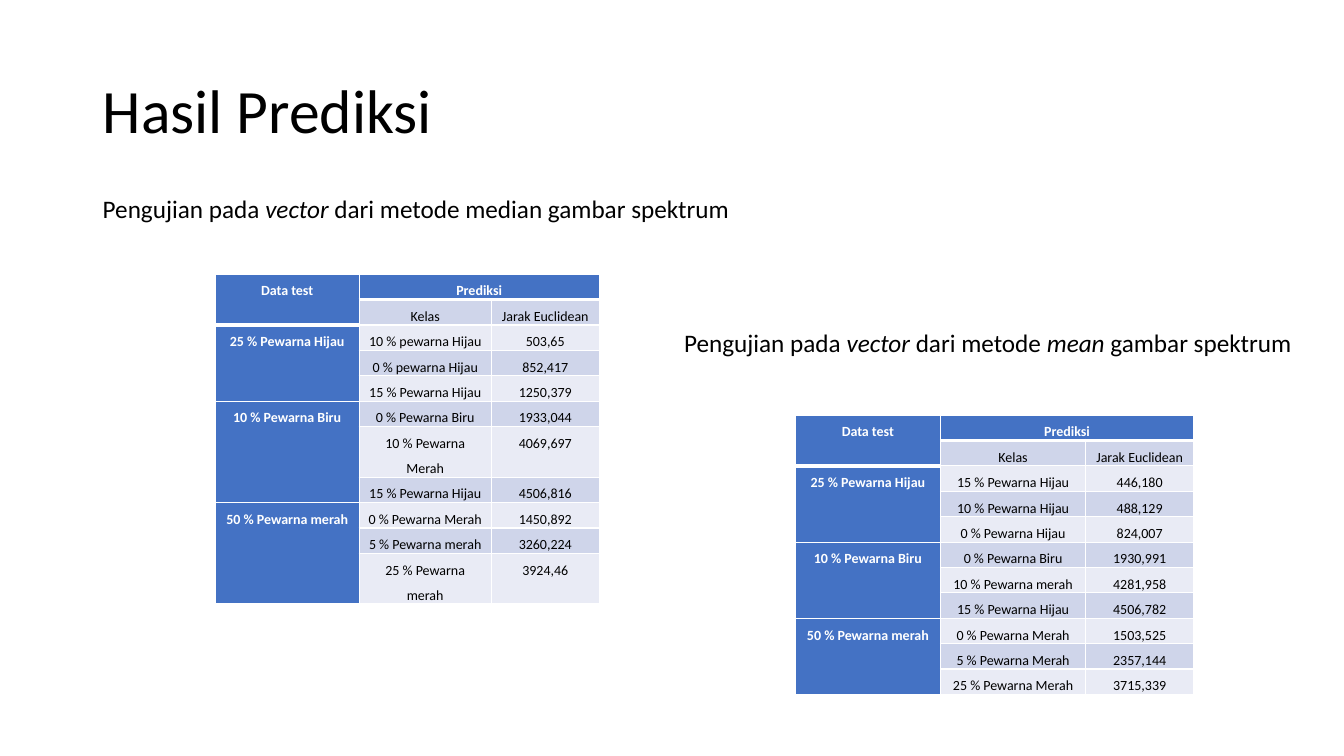
from dataclasses import dataclass

from lxml import etree
from pptx import Presentation
from pptx import util as u
from pptx.dml.color import RGBColor
from pptx.enum import text
from pptx.oxml.ns import qn
from pptx.slide import Slide
from pptx.table import _Cell
from pptx.text.text import TextFrame, _Paragraph


@dataclass(frozen=True)
class Theme:
    font: str = "Calibri"
    ink: str = "000000"
    white: str = "FFFFFF"
    accent: str = "4472C4"
    dark_band: str = "CFD5EA"
    light_band: str = "E9EBF5"
    title_size: int = 44
    caption_size: int = 18
    cell_size: int = 10
    thin: int = 1
    thick: int = 3


@dataclass(frozen=True)
class Piece:
    words: str
    italic: bool = False


@dataclass(frozen=True)
class Caption:
    left: float
    top: float
    width: float
    pieces: tuple[Piece, ...]


@dataclass(frozen=True)
class Group:
    data_test: str
    predictions: tuple[tuple[str, str], ...]


@dataclass(frozen=True)
class Results:
    left: float
    top: float
    columns: tuple[float, ...]
    groups: tuple[Group, ...]


THEME = Theme()
ROW_HEIGHT = 0.64
GROUP_ROWS = 3
HEADING_ROWS = 2
ABOVE_THICK_LINE = {(0, 0), (0, 1), (0, 2), (1, 0)}

CAPTIONS = (
    Caption(2.34, 4.75, 16.66, (
        Piece("Pengujian pada "),
        Piece("vector ", True),
        Piece("dari metode median gambar spektrum"),
    )),
    Caption(16.99, 8.13, 16.13, (
        Piece("Pengujian pada "),
        Piece("vector ", True),
        Piece("dari metode "),
        Piece("mean ", True),
        Piece("gambar spektrum"),
    )),
)

RESULTS = (
    Results(5.42, 6.91, (3.63, 3.33, 2.72), (
        Group("25 % Pewarna Hijau", (
            ("10 % pewarna Hijau", "503,65"),
            ("0 % pewarna Hijau", "852,417"),
            ("15 % Pewarna Hijau", "1250,379"),
        )),
        Group("10 % Pewarna Biru", (
            ("0 % Pewarna Biru", "1933,044"),
            ("10 % Pewarna Merah", "4069,697"),
            ("15 % Pewarna Hijau", "4506,816"),
        )),
        Group("50 % Pewarna merah", (
            ("0 % Pewarna Merah", "1450,892"),
            ("5 % Pewarna merah", "3260,224"),
            ("25 % Pewarna merah", "3924,46"),
        )),
    )),
    Results(20.04, 10.46, (3.66, 3.66, 2.72), (
        Group("25 % Pewarna Hijau", (
            ("15 % Pewarna Hijau", "446,180"),
            ("10 % Pewarna Hijau", "488,129"),
            ("0 % Pewarna Hijau", "824,007"),
        )),
        Group("10 % Pewarna Biru", (
            ("0 % Pewarna Biru", "1930,991"),
            ("10 % Pewarna merah", "4281,958"),
            ("15 % Pewarna Hijau", "4506,782"),
        )),
        Group("50 % Pewarna merah", (
            ("0 % Pewarna Merah", "1503,525"),
            ("5 % Pewarna Merah", "2357,144"),
            ("25 % Pewarna Merah", "3715,339"),
        )),
    )),
)


def format_runs(paragraph: _Paragraph, size: int, color: str, bold: bool = False) -> None:
    for run in paragraph.runs:
        run.font.name = THEME.font
        run.font.size = u.Pt(size)
        run.font.bold = bold
        run.font.color.rgb = RGBColor.from_string(color)


def add_text_frame(slide: Slide, left: float, top: float, width: float, height: float) -> TextFrame:
    return slide.shapes.add_textbox(u.Cm(left), u.Cm(top), u.Cm(width), u.Cm(height)).text_frame


def draw_title(slide: Slide) -> None:
    title = add_text_frame(slide, 2.34, 1.02, 29.21, 3.68)
    title.word_wrap = True
    title.vertical_anchor = text.MSO_ANCHOR.MIDDLE
    title.text = "Hasil Prediksi"
    title.paragraphs[0].line_spacing = 0.9
    format_runs(title.paragraphs[0], THEME.title_size, THEME.ink)


def draw_caption(slide: Slide, caption: Caption) -> None:
    frame = add_text_frame(slide, caption.left, caption.top, caption.width, 1.02)
    frame.word_wrap = False
    frame.auto_size = text.MSO_AUTO_SIZE.SHAPE_TO_FIT_TEXT
    sentence = frame.paragraphs[0]
    for piece in caption.pieces:
        run = sentence.add_run()
        run.text = piece.words
        run.font.italic = piece.italic
    format_runs(sentence, THEME.caption_size, THEME.ink)


def draw_borders(cell: _Cell, row: int, column: int) -> None:
    top = THEME.thick if (row - 1, column) in ABOVE_THICK_LINE else THEME.thin
    bottom = THEME.thick if (row, column) in ABOVE_THICK_LINE else THEME.thin
    widths = {"a:lnL": THEME.thin, "a:lnR": THEME.thin, "a:lnT": top, "a:lnB": bottom}
    properties = cell._tc.get_or_add_tcPr()
    for side, width in widths.items():
        line = etree.SubElement(properties, qn(side), w=str(u.Pt(width)))
        fill = etree.SubElement(line, qn("a:solidFill"))
        etree.SubElement(fill, qn("a:srgbClr"), val=THEME.white)


def style_cell(cell: _Cell, row: int, column: int) -> None:
    heading = row == 0 or column == 0
    band = THEME.dark_band if row % 2 else THEME.light_band
    draw_borders(cell, row, column)
    cell.fill.solid()
    cell.fill.fore_color.rgb = RGBColor.from_string(THEME.accent if heading else band)
    cell.margin_left = cell.margin_right = u.Cm(0.19)
    cell.margin_top = cell.margin_bottom = 0
    paragraph = cell.text_frame.paragraphs[0]
    paragraph.alignment = text.PP_ALIGN.CENTER
    paragraph.line_spacing = 1.5
    format_runs(paragraph, THEME.cell_size, THEME.white if heading else THEME.ink, heading)
    paragraph.font.size = u.Pt(THEME.cell_size)


def draw_results(slide: Slide, results: Results) -> None:
    rows = [("Data test", "Prediksi", ""), ("", "Kelas", "Jarak Euclidean")]
    for group in results.groups:
        for index, (kelas, jarak) in enumerate(group.predictions):
            rows.append(("" if index else group.data_test, kelas, jarak))

    table = slide.shapes.add_table(
        len(rows), len(results.columns), u.Cm(results.left), u.Cm(results.top),
        u.Cm(sum(results.columns)), u.Cm(ROW_HEIGHT * len(rows)),
    ).table
    for column, width in zip(table.columns, results.columns):
        column.width = u.Cm(width)
    for row, values in enumerate(rows):
        table.rows[row].height = u.Cm(ROW_HEIGHT)
        for column, value in enumerate(values):
            cell = table.cell(row, column)
            cell.text_frame.text = value
            style_cell(cell, row, column)

    table.cell(0, 0).merge(table.cell(HEADING_ROWS - 1, 0))
    table.cell(0, 1).merge(table.cell(0, 2))
    for first in range(HEADING_ROWS, len(rows), GROUP_ROWS):
        table.cell(first, 0).merge(table.cell(first + GROUP_ROWS - 1, 0))


def main() -> None:
    deck = Presentation()
    deck.slide_width, deck.slide_height = u.Cm(33.87), u.Cm(19.05)
    slide = deck.slides.add_slide(deck.slide_layouts[6])
    draw_title(slide)
    for caption in CAPTIONS:
        draw_caption(slide, caption)
    for results in RESULTS:
        draw_results(slide, results)
    deck.save("out.pptx")


if __name__ == "__main__":
    main()
